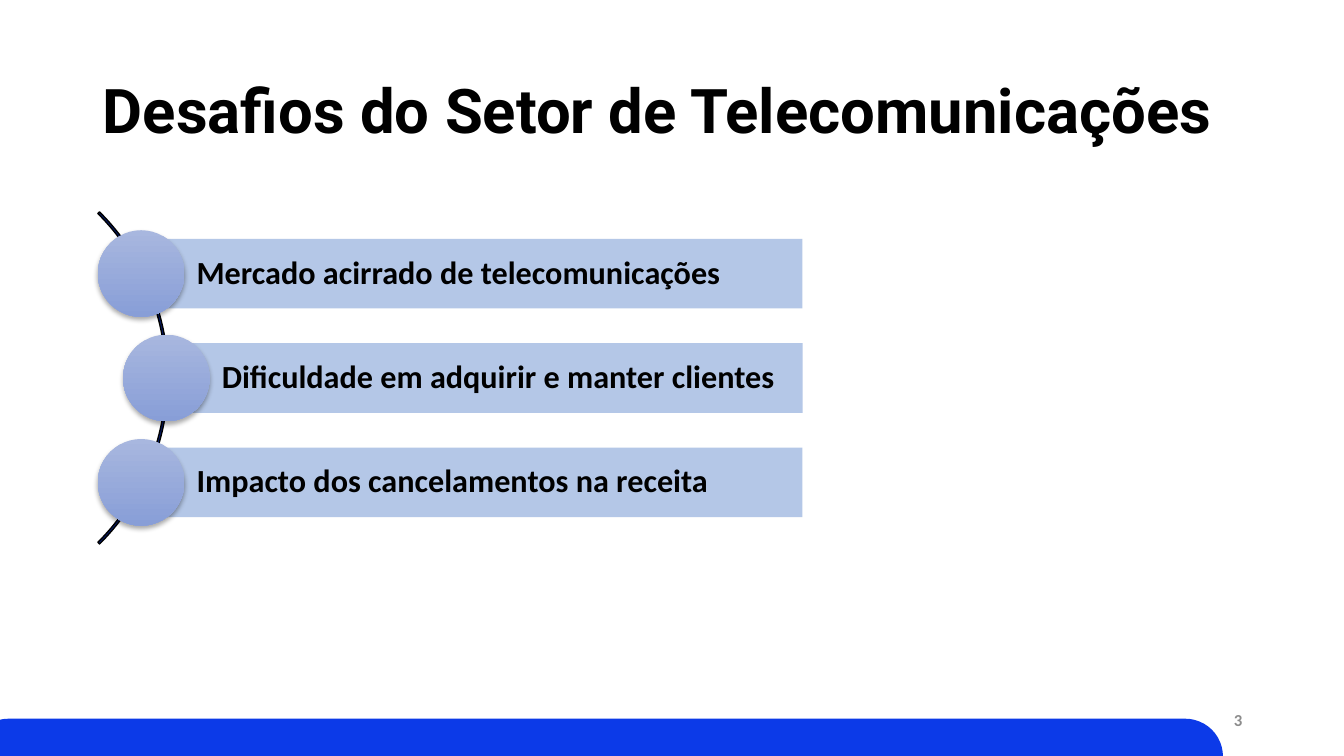
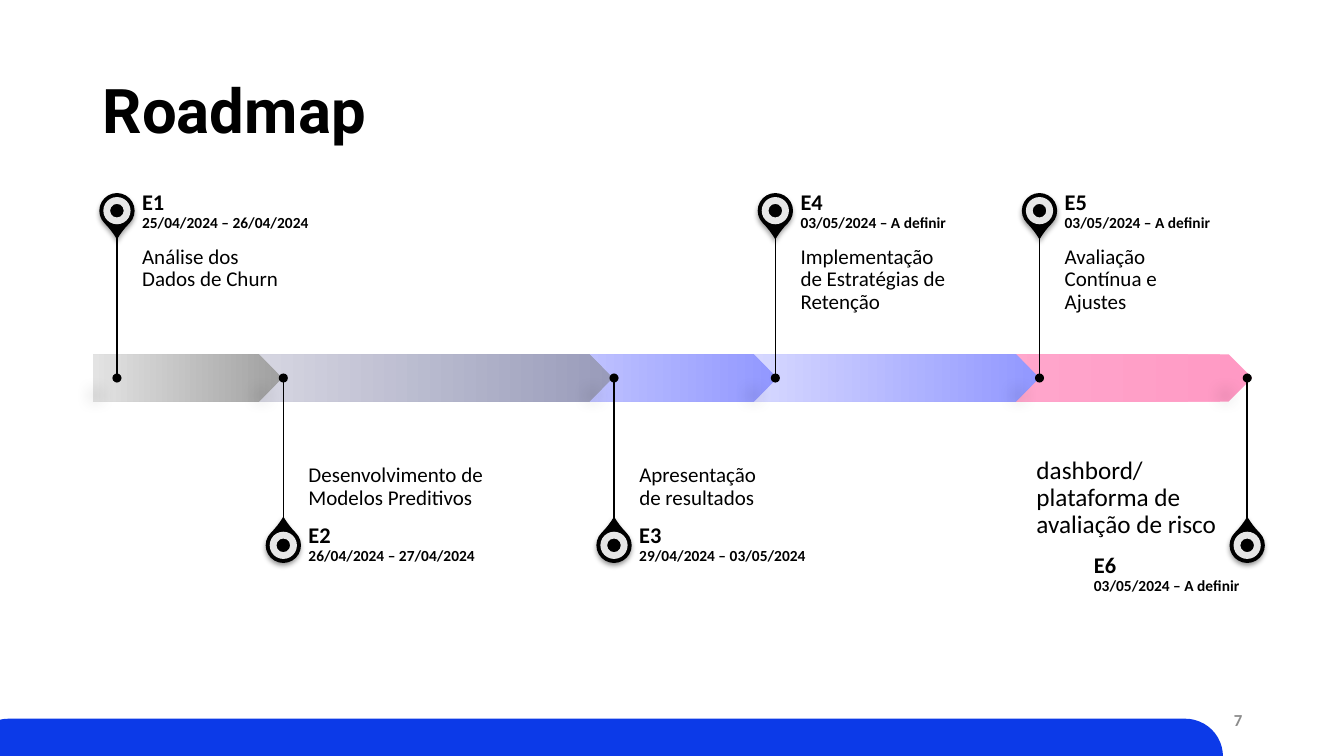
from typing import NamedTuple

from lxml import etree
from pptx import Presentation
from pptx import util as u
from pptx.dml import color
from pptx.enum import shapes, text
from pptx.oxml import ns

WIDTH, HEIGHT = 13.33, 7.5
BLACK, GREY, WHITE = "000000", "8C8C8C", "FFFFFF"
BAND_BLUE, ARC_BLUE, BAR_BLUE = "0C3AE8", "061D74", "B4C7E7"
BALL_BLUES = ("A8B7DF", "889ED7")
TITLE_FONT, BODY_FONT = "Roboto", "Calibri"
# Shadows: opacity %, blur pt, distance pt, direction in degrees
SOFT_SHADOW = (32, 3.5, 2.2, 90)
DOT_SHADOW = (28, 11.8, 19.7, 141)
KIND = shapes.MSO_SHAPE


class Box(NamedTuple):
    """A region of the slide in inches."""
    left: float
    top: float
    width: float
    height: float

    @property
    def right(self):
        return self.left + self.width

    @property
    def middle(self):
        return self.top + self.height / 2

    def emu(self):
        return [u.Inches(length) for length in self]


def square(x, y, size):
    """A square box centred on a point."""
    return Box(x - size / 2, y - size / 2, size, size)


TITLE_BOX = Box(0.92, 0.4, 11.5, 1.45)
BAND_BOX = Box(-0.29, 7.13, 12.42, 0.75)
NUMBER_BOX = Box(9.42, 6.95, 3, 0.4)
CHALLENGES_BOX = Box(0.92, 1.42, 7.04, 4.66)
ROADMAP_BOX = Box(0.92, 1.85, 11.5, 3.8)

CHALLENGES = [
    "Mercado acirrado de telecomunicações",
    "Dificuldade em adquirir e manter clientes",
    "Impacto dos cancelamentos na receita",
]

# Start and end from the left of the roadmap, dark and light colour
SEGMENTS = [
    (0, 11.5, "FF99C4", "FFE1EC"),
    (6.24, 9.39, "9197FF", "DEDFFF"),
    (3.64, 6.79, "9197FF", "DEDFFF"),
    (0.96, 5.16, "999BBA", "E2E2E9"),
    (0, 1.88, "A0A0A0", "E3E3E3"),
]


class Milestone(NamedTuple):
    x: float
    above: bool
    name: str
    dates: str
    task: str
    task_width: float
    task_size: int = 15
    task_shift: float = 0.25
    heading_shift: float = 0.25
    drop: float = 0


MILESTONES = [
    Milestone(0.24, True, "E1", "25/04/2024 – 26/04/2024",
              "Análise dos Dados de Churn", 1.5),
    Milestone(1.89, False, "E2", "26/04/2024 – 27/04/2024",
              "Desenvolvimento de Modelos Preditivos", 1.76),
    Milestone(5.17, False, "E3", "29/04/2024 – 03/05/2024",
              "Apresentação de resultados", 1.28),
    Milestone(6.77, True, "E4", "03/05/2024 – A definir",
              "Implementação de Estratégias de Retenção", 1.6),
    Milestone(9.39, True, "E5", "03/05/2024 – A definir",
              "Avaliação Contínua e Ajustes", 1.26),
    Milestone(11.45, False, "E6", "03/05/2024 – A definir",
              "dashbord/plataforma de avaliação de risco", 1.85,
              18, -2.09, -1.52, 0.29),
]


def rgb(value):
    return color.RGBColor.from_string(value)


def add_xml(parent, tag, **attributes):
    return etree.SubElement(parent, ns.qn(tag), attributes)


def set_shadow(shape, opacity, blur, distance, direction):
    shape.shadow.inherit = False
    effects = shape.element.spPr.find(ns.qn("a:effectLst"))
    shadow = add_xml(effects, "a:outerShdw", blurRad=str(u.Pt(blur)),
                     dist=str(u.Pt(distance)), dir=str(direction * 60000),
                     algn="ctr", rotWithShape="0")
    tone = add_xml(shadow, "a:srgbClr", val=BLACK)
    add_xml(tone, "a:alpha", val=str(opacity * 1000))


def add_shape(slide, kind, box, fill=None, shadow=None):
    shape = slide.shapes.add_shape(kind, *box.emu())
    shape.line.fill.background()
    shape.shadow.inherit = False
    if fill:
        shape.fill.solid()
        shape.fill.fore_color.rgb = rgb(fill)
    if shadow:
        set_shadow(shape, *shadow)
    return shape


def set_gradient(shape, colours, angle):
    shape.fill.gradient()
    shape.fill.gradient_angle = angle
    for stop, colour in zip(shape.fill.gradient_stops, colours):
        stop.color.rgb = rgb(colour)


def write(shape, words, sizes, bold=False, font=BODY_FONT, colour=BLACK,
          anchor=text.MSO_ANCHOR.MIDDLE, align=text.PP_ALIGN.LEFT,
          margins=(0.1, 0.05, 0.1, 0.05)):
    """Fill a shape with one paragraph; sizes holds one size per line."""
    frame = shape.text_frame
    frame.text = words
    frame.word_wrap = True
    frame.auto_size = text.MSO_AUTO_SIZE.NONE
    frame.vertical_anchor = anchor
    (frame.margin_left, frame.margin_top,
     frame.margin_right, frame.margin_bottom) = map(u.Inches, margins)
    paragraph = frame.paragraphs[0]
    paragraph.alignment = align
    paragraph.line_spacing = 0.9
    for run, size in zip(paragraph.runs, sizes):
        run.font.size = u.Pt(size)
        run.font.name = font
        run.font.bold = bold
        run.font.color.rgb = rgb(colour)


def add_text(slide, box, words, sizes, **style):
    write(slide.shapes.add_textbox(*box.emu()), words, sizes, **style)


def add_slide(presentation, layout, title, number):
    slide = presentation.slides.add_slide(layout)
    write(slide.shapes.title, title, [44], bold=True, font=TITLE_FONT)
    add_text(slide, NUMBER_BOX, number, [12], bold=True, colour=GREY,
             align=text.PP_ALIGN.RIGHT)
    return slide


def move_band_to_layout(slide, layout):
    """Draw the bottom band once, behind everything on the layout."""
    band = add_shape(slide, KIND.ROUNDED_RECTANGLE, BAND_BOX, BAND_BLUE)
    band.adjustments[0] = 0.5
    layout.shapes.element.insert(2, band.element)


def draw_challenges(slide, box, items):
    """Bars with balls strung along an arc at the left of the box."""
    size = box.height
    arc = add_shape(slide, KIND.BLOCK_ARC,
                    Box(box.left + 0.75 - size, box.top, size, size), ARC_BLUE)
    for index, value in enumerate((189, 27, 0.005)):
        arc.adjustments[index] = value
    arc.line.color.rgb = rgb(BLACK)
    arc.line.width = u.Pt(1)

    pitch, bar_height = size * 2 / 9, 0.69
    centre = (len(items) - 1) / 2
    for index, item in enumerate(items):
        y = box.middle + (index - centre) * pitch
        left = box.left + (0.73 if index == centre else 0.48)
        bar = add_shape(slide, KIND.RECTANGLE,
                        Box(left, y - bar_height / 2, box.right - left,
                            bar_height), BAR_BLUE)
        write(bar, item, [23], bold=True, margins=(0.55, 0.06, 0.06, 0.06))
        ball = add_shape(slide, KIND.OVAL, square(left, y, 0.86),
                         shadow=SOFT_SHADOW)
        set_gradient(ball, BALL_BLUES, 270)


def draw_pin(slide, x, y, above):
    drop = add_shape(slide, KIND.TEAR, square(x, y, 0.35), BLACK, SOFT_SHADOW)
    drop.adjustments[0] = 1.15
    drop.rotation = 135 if above else 315
    ring = add_shape(slide, KIND.DONUT, square(x, y, 0.27), WHITE, SOFT_SHADOW)
    tone = ring.element.spPr.find(ns.qn("a:solidFill"))[0]
    add_xml(tone, "a:alpha", val="90000")


def draw_milestone(slide, box, milestone):
    x, axis = box.left + milestone.x, box.middle
    heading_height, stem = 0.49, 1.41
    side = -1 if milestone.above else 1
    draw_pin(slide, x, axis + side * 1.66, milestone.above)

    ends = [u.Inches(length) for length in (x, axis + side * stem, x, axis)]
    line = slide.shapes.add_connector(shapes.MSO_CONNECTOR.STRAIGHT, *ends)
    line.line.color.rgb = rgb(BLACK)
    line.line.width = u.Pt(1)
    add_xml(line.element.spPr, "a:effectLst")
    add_shape(slide, KIND.OVAL, square(x, axis, 0.09), BLACK, DOT_SHADOW)

    if milestone.above:
        heading_top, task_top = box.top, box.top + heading_height
        anchor, margins = text.MSO_ANCHOR.TOP, (0, 0.1, 0.1, 0.16)
    else:
        heading_top, task_top = axis + stem, axis
        anchor, margins = text.MSO_ANCHOR.BOTTOM, (0, 0.16, 0, 0.1)
    add_text(slide, Box(x + milestone.task_shift, task_top + milestone.drop,
                        milestone.task_width, stem),
             milestone.task, [milestone.task_size], anchor=anchor,
             margins=margins)
    add_text(slide, Box(x + milestone.heading_shift,
                        heading_top + milestone.drop, 2.4, heading_height),
             f"{milestone.name}\v{milestone.dates}", [16, 11], bold=True,
             margins=(0, 0, 0.11, 0))


def draw_roadmap(slide, box, segments, milestones):
    height = 0.47
    for start, end, dark, light in segments:
        segment = add_shape(slide, KIND.PENTAGON,
                            Box(box.left + start, box.middle - height / 2,
                                end - start, height))
        set_gradient(segment, (dark, light), 180)
    for milestone in milestones:
        draw_milestone(slide, box, milestone)


def main():
    presentation = Presentation()
    presentation.slide_width = u.Inches(WIDTH)
    presentation.slide_height = u.Inches(HEIGHT)
    layout = presentation.slide_layouts.get_by_name("Title Only")
    title = layout.placeholders[0]
    title.left, title.top, title.width, title.height = TITLE_BOX.emu()

    challenges = add_slide(presentation, layout,
                           "Desafios do Setor de Telecomunicações", "3")
    move_band_to_layout(challenges, layout)
    draw_challenges(challenges, CHALLENGES_BOX, CHALLENGES)

    roadmap = add_slide(presentation, layout, "Roadmap", "7")
    draw_roadmap(roadmap, ROADMAP_BOX, SEGMENTS, MILESTONES)
    presentation.save("out.pptx")


if __name__ == "__main__":
    main()
